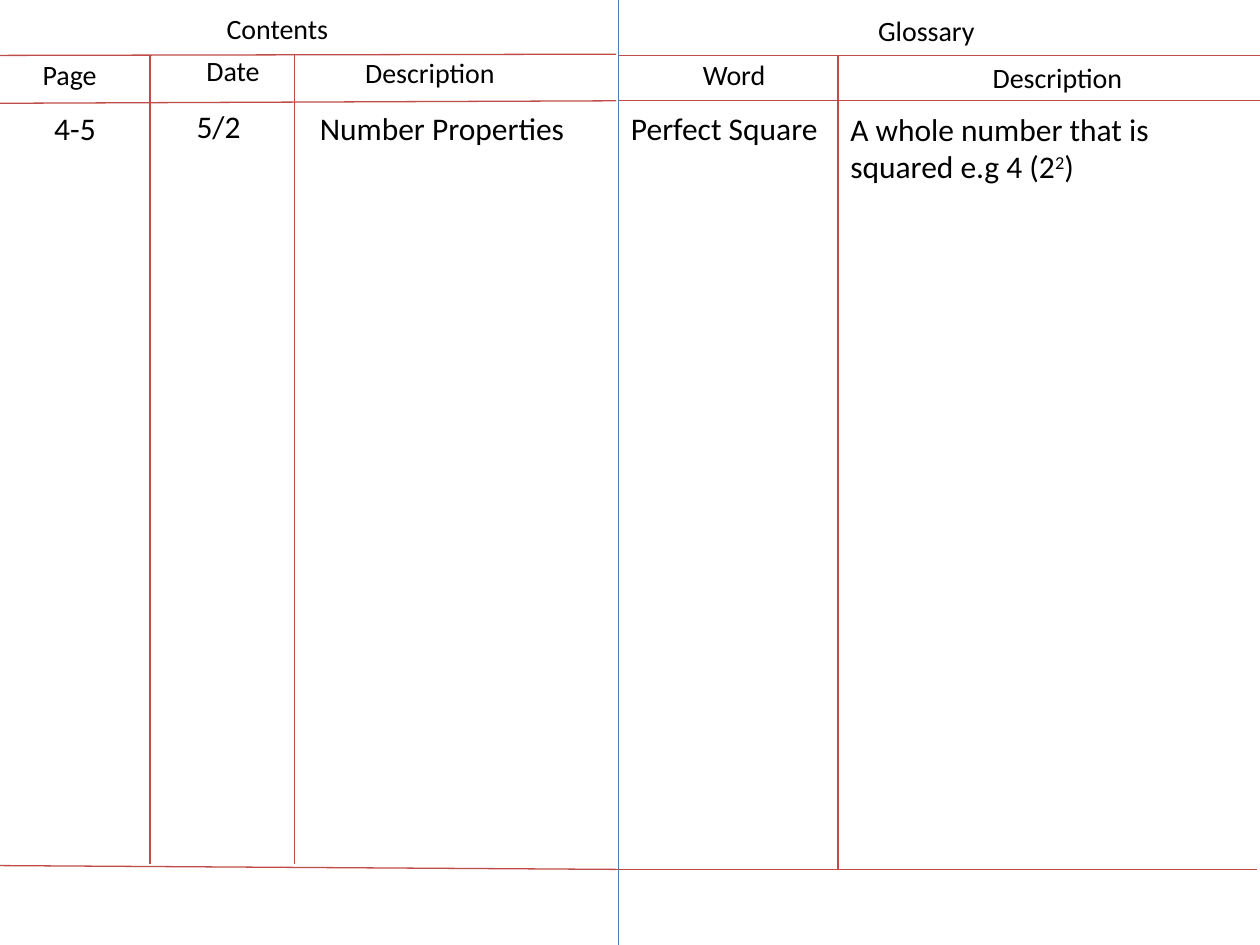
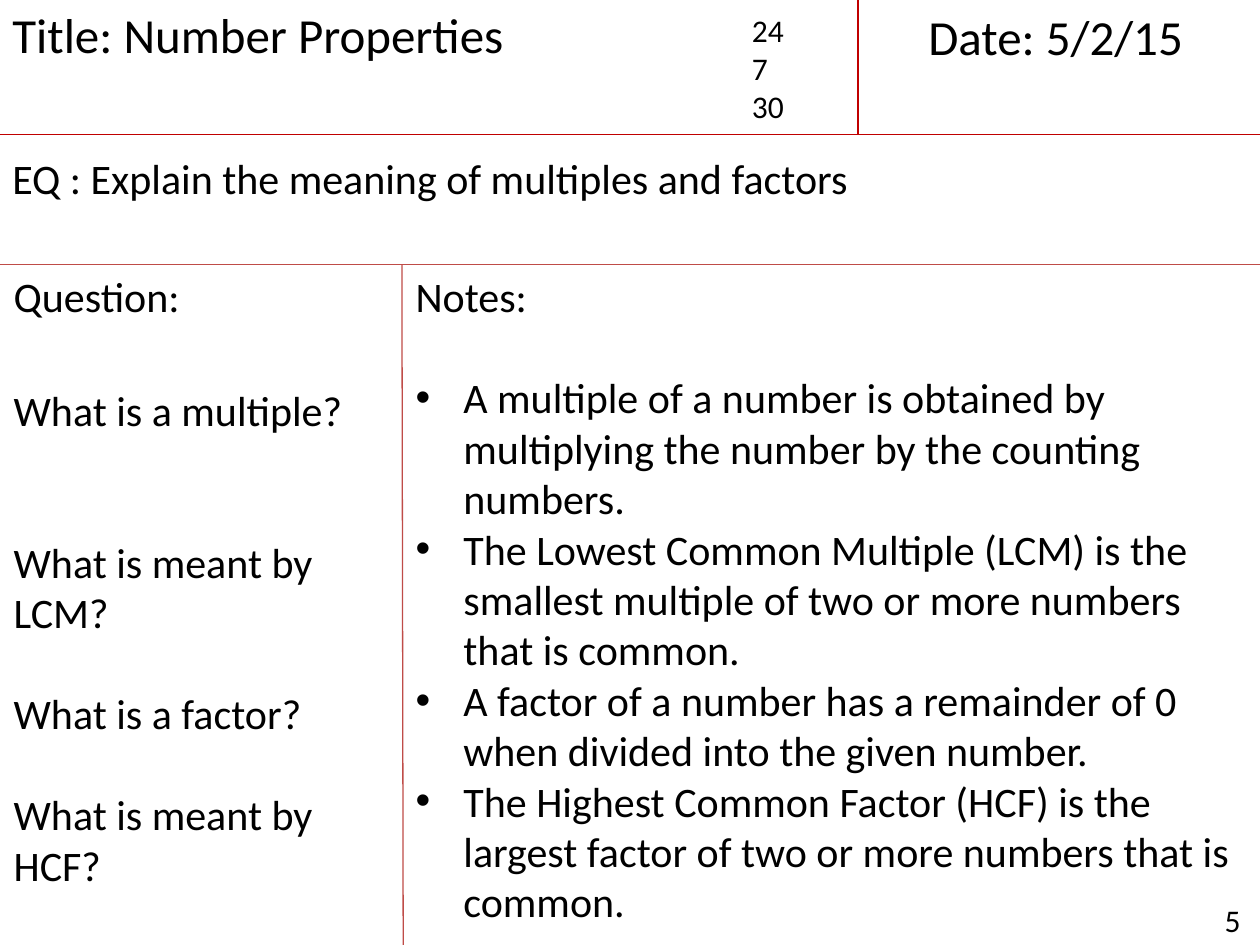
from dataclasses import dataclass

from lxml import etree
from pptx import Presentation
from pptx.dml.color import RGBColor
from pptx.enum.shapes import MSO_CONNECTOR
from pptx.enum.text import MSO_AUTO_SIZE, PP_ALIGN
from pptx.oxml.ns import qn
from pptx.util import Inches, Pt

STRAIGHT = MSO_CONNECTOR.STRAIGHT
GROW = MSO_AUTO_SIZE.SHAPE_TO_FIT_TEXT
LEFT, CENTER = PP_ALIGN.LEFT, PP_ALIGN.CENTER


@dataclass(frozen=True)
class Theme:
    font: str = "Calibri"
    ink: str = "000000"
    spine: str = "4B7EBC"
    rule: str = "BF4C48"
    header_rule: str = "C00000"
    rule_width: float = 0.75
    heading: int = 16
    entry: int = 18
    body: int = 24
    title: int = 28
    body_line: int = 29
    hanging: float = 0.38


def add_span(para, text, font, size, color, baseline=None):
    span = para.add_run()
    span.text = text
    span.font.name = font
    span.font.size = Pt(size)
    span.font.color.rgb = RGBColor.from_string(color)
    if baseline:
        span._r.get_or_add_rPr().set("baseline", str(baseline))


class Page:
    def __init__(self, deck, theme):
        self.theme = theme
        self.slide = deck.slides.add_slide(deck.slide_layouts[6])

    def line(self, x1, y1, x2, y2, color=None):
        line = self.slide.shapes.add_connector(
            STRAIGHT, Inches(x1), Inches(y1), Inches(x2), Inches(y2))
        line.line.color.rgb = RGBColor.from_string(color or self.theme.rule)
        line.line.width = Pt(self.theme.rule_width)
        etree.SubElement(line._element.spPr, qn("a:effectLst"))

    def text(self, left, top, width, height, content, size, align=LEFT, wrap=True):
        box = self.slide.shapes.add_textbox(
            Inches(left), Inches(top), Inches(width), Inches(height))
        frame = box.text_frame
        frame.word_wrap = wrap
        frame.auto_size = GROW
        self.paragraph(frame.paragraphs[0], content, size, align)
        return frame

    def paragraph(self, para, content, size, align=LEFT, lines_before=0, bullet=False):
        para.alignment = align
        if lines_before:
            para.space_before = Pt(lines_before * self.theme.body_line)
        if bullet:
            self.bullet(para)
        spans = [(content, None)] if isinstance(content, str) else content
        for text, baseline in spans:
            add_span(para, text, font=self.theme.font, size=size,
                     color=self.theme.ink, baseline=baseline)

    def bullet(self, para):
        properties = para._p.get_or_add_pPr()
        indent = Inches(self.theme.hanging)
        properties.set("marL", str(indent))
        properties.set("indent", str(-indent))
        etree.SubElement(properties, qn("a:buFont"), typeface="Arial")
        etree.SubElement(properties, qn("a:buChar"), char="•")


def build_index(deck, theme):
    page = Page(deck, theme)
    spine, left_end, top, bottom = 4.91, 4.89, 0.44, 6.9
    page.line(spine, 0, spine, 7.5, theme.spine)
    for start, end in ((top, 0.43), (0.82, 0.8), (6.87, bottom)):
        page.line(0, start, left_end, end)
    for column in (1.19, 2.34):
        page.line(column, top, column, 6.86)
    for y in (top, 0.8):
        page.line(spine, y, 10, y)
    page.line(left_end, bottom, 9.98, bottom)
    page.line(6.65, top, 6.65, bottom)

    headings = (
        ("Contents", 1.7, 0.04, 1.02, False),
        ("Page", 0.24, 0.41, 0.64, False),
        ("Date", 1.54, 0.38, 0.63, False),
        ("Description", 2.8, 0.39, 1.53, True),
        ("Glossary", 6.87, 0.06, 1.11, True),
        ("Word", 5.48, 0.41, 0.88, True),
        ("Description", 7.78, 0.43, 1.24, True),
    )
    for label, left, y, width, wrap in headings:
        page.text(left, y, width, 0.37, label, theme.heading, wrap=wrap)

    square = [("A whole number that is squared e.g 4 (2", None),
              ("2", 30000), (")", None)]
    entries = (
        ("4-5", 0, 0.82, 1.19, 0.4, CENTER),
        ("5/2", 1.16, 0.8, 1.15, 0.4, CENTER),
        ("Number Properties", 2.44, 0.82, 2.44, 0.4, LEFT),
        ("Perfect Square", spine, 0.82, 1.74, 0.4, LEFT),
        (square, 6.65, 0.82, 3.33, 0.71, LEFT),
    )
    for content, left, y, width, height, align in entries:
        page.text(left, y, width, height, content, theme.entry, align)


def build_notes(deck, theme):
    page = Page(deck, theme)
    header_bottom, body_top = 1.07, 2.1
    page.text(9.62, 7.1, 0.38, 0.4, "5", theme.entry)
    page.line(0, header_bottom, 10, header_bottom, theme.header_rule)
    page.line(6.81, 0, 6.81, header_bottom, theme.header_rule)
    page.line(0, body_top, 10, body_top)
    page.line(3.19, body_top, 3.2, 7.5)

    page.text(0, -0.01, 5.8, 0.57, "Title: Number Properties", theme.title)
    page.text(7.27, 0, 2.73, 0.57, "Date: 5/2/15", theme.title)
    page.text(0, 1.16, 9.56, 0.5,
              "EQ : Explain the meaning of multiples and factors", theme.body)
    numbers = page.text(5.87, 0.04, 0.94, 1.01, "24", theme.entry)
    for number in ("7", "30"):
        page.paragraph(numbers.add_paragraph(), number, theme.entry)

    page.text(0.01, body_top, 3.19, 0.5, "Question:", theme.body)
    questions = page.text(0.01, 3, 3.18, 4.14, "What is a multiple?", theme.body)
    for question, gap in (("What is meant by LCM?", 2),
                          ("What is a factor?", 1),
                          ("What is meant by HCF?", 1)):
        page.paragraph(questions.add_paragraph(), question, theme.body,
                       lines_before=gap)

    answers = (
        "A multiple of a number is obtained by multiplying the number by the counting numbers.",
        "The Lowest Common Multiple (LCM) is the smallest multiple of two or more numbers that is common.",
        "A factor of a number has a remainder of 0 when divided into the given number.",
        "The Highest Common Factor (HCF) is the largest factor of two or more numbers that is common.",
    )
    notes = page.text(3.2, body_top, 6.8, 5.35, "Notes:", theme.body)
    for index, answer in enumerate(answers):
        page.paragraph(notes.add_paragraph(), answer, theme.body,
                       lines_before=int(index == 0), bullet=True)


def main():
    deck = Presentation()
    deck.slide_width, deck.slide_height = Inches(10), Inches(7.5)
    theme = Theme()
    build_index(deck, theme)
    build_notes(deck, theme)
    deck.save("out.pptx")


if __name__ == "__main__":
    main()
